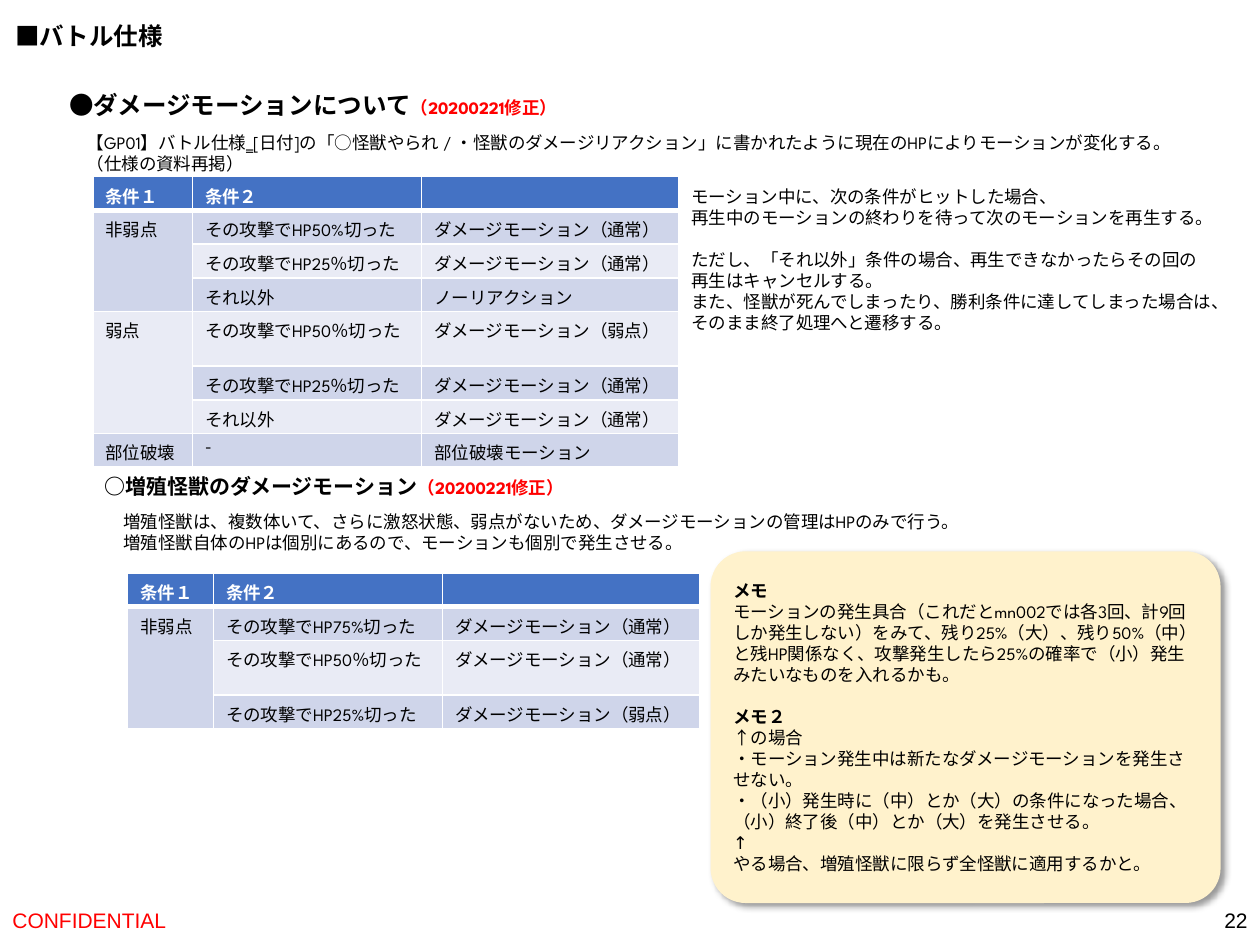
from dataclasses import dataclass

from lxml import etree
from pptx import Presentation
from pptx.dml.color import RGBColor
from pptx.enum.shapes import MSO_SHAPE
from pptx.enum.text import MSO_ANCHOR, MSO_AUTO_SIZE, PP_ALIGN
from pptx.oxml.ns import qn
from pptx.util import Pt

ROUNDED = MSO_SHAPE.ROUNDED_RECTANGLE
MIDDLE = MSO_ANCHOR.MIDDLE
FIT_SHAPE = MSO_AUTO_SIZE.SHAPE_TO_FIT_TEXT
LEFT, RIGHT = PP_ALIGN.LEFT, PP_ALIGN.RIGHT


@dataclass(frozen=True)
class Theme:
    body_font: str = "League Spartan"
    plain_font: str = "Arial"
    black: str = "000000"
    white: str = "FFFFFF"
    red: str = "FF0000"
    header: str = "4472C4"
    bands: tuple = ("CFD5EA", "E9EBF5")
    memo: str = "FFF2CC"
    heading: int = 14
    subheading: int = 12
    body: int = 10
    line_gap: int = 12
    row_height: int = 19


THEME = Theme()
REVISED = "（20200221修正）"
NORMAL, WEAK = "ダメージモーション（通常）", "ダメージモーション（弱点）"
HEADER = ("条件１", "条件２", "")

MONSTER_ROWS = [
    HEADER,
    ("非弱点", "その攻撃でHP50%切った", NORMAL),
    ("", "その攻撃でHP25％切った", NORMAL),
    ("", "それ以外", "ノーリアクション"),
    ("弱点", "その攻撃でHP50％切った", WEAK),
    ("", "その攻撃でHP25％切った", NORMAL),
    ("", "それ以外", NORMAL),
    ("部位破壊", "-", "部位破壊モーション"),
]
SWARM_ROWS = [
    HEADER,
    ("非弱点", "その攻撃でHP75%切った", NORMAL),
    ("", "その攻撃でHP50％切った", NORMAL),
    ("", "その攻撃でHP25%切った", WEAK),
]
INTRO = [
    "【GP01】バトル仕様‗[日付]の「○怪獣やられ / ・怪獣のダメージリアクション」に"
    "書かれたように現在のHPによりモーションが変化する。",
    "（仕様の資料再掲）",
]
PLAYBACK_RULES = [
    "モーション中に、次の条件がヒットした場合、",
    "再生中のモーションの終わりを待って次のモーションを再生する。",
    "ただし、「それ以外」条件の場合、再生できなかったらその回の",
    "再生はキャンセルする。",
    "また、怪獣が死んでしまったり、勝利条件に達してしまった場合は、",
    "そのまま終了処理へと遷移する。",
]
SWARM_INTRO = [
    "増殖怪獣は、複数体いて、さらに激怒状態、弱点がないため、"
    "ダメージモーションの管理はHPのみで行う。",
    "増殖怪獣自体のHPは個別にあるので、モーションも個別で発生させる。",
]
MEMO_TITLES = ("メモ", "メモ２")
MEMO = [
    "メモ",
    "モーションの発生具合（これだとmn002では各3回、計9回しか発生しない）をみて、"
    "残り25%（大）、残り50%（中）と残HP関係なく、攻撃発生したら25%の確率で"
    "（小）発生みたいなものを入れるかも。",
    "メモ２",
    "↑の場合",
    "・モーション発生中は新たなダメージモーションを発生させない。",
    "・（小）発生時に（中）とか（大）の条件になった場合、"
    "（小）終了後（中）とか（大）を発生させる。",
    "↑",
    "やる場合、増殖怪獣に限らず全怪獣に適用するかと。",
]


def style(run, size=THEME.body, color=THEME.black, bold=False, face=THEME.body_font):
    run.font.size = Pt(size)
    run.font.name = face
    run.font.bold = bold
    run.font.color.rgb = RGBColor.from_string(color)


def write_lines(frame, lines, gap_before=None, bold_lines=(), **look):
    """Put one paragraph per line, with a gap above the line gap_before."""
    frame.text = "\n".join(lines)
    for paragraph in frame.paragraphs:
        paragraph.alignment = LEFT
        for run in paragraph.runs:
            style(run, bold=run.text in bold_lines, **look)
    if gap_before:
        frame.paragraphs[gap_before].space_before = Pt(THEME.line_gap)


def add_text(slide, box, lines, **look):
    frame = slide.shapes.add_textbox(*map(Pt, box)).text_frame
    frame.word_wrap = False
    frame.auto_size = FIT_SHAPE
    write_lines(frame, lines, **look)
    return frame


def add_heading(slide, box, heading, size, revision=None, face=THEME.body_font):
    frame = add_text(slide, box, [heading], bold_lines=[heading], size=size, face=face)
    if revision:
        note = frame.paragraphs[0].add_run()
        note.text = revision
        style(note, color=THEME.red, bold=True)


def add_footer(slide, left, width, label, color, align):
    frame = slide.shapes.add_textbox(Pt(left), Pt(511), Pt(width), Pt(29)).text_frame
    frame.word_wrap = True
    frame.vertical_anchor = MIDDLE
    write_lines(frame, [label], size=THEME.subheading, color=color, face=THEME.plain_font)
    frame.paragraphs[0].alignment = align


def set_borders(cell, bottom):
    properties = cell._tc.get_or_add_tcPr()
    for side, width in (("lnL", 1), ("lnR", 1), ("lnT", 1), ("lnB", bottom)):
        line = etree.SubElement(properties, qn(f"a:{side}"), w=str(Pt(width)))
        fill = etree.SubElement(line, qn("a:solidFill"))
        etree.SubElement(fill, qn("a:srgbClr"), val=THEME.white)


def fill_cell(cell, label, color, is_header):
    set_borders(cell, 3 if is_header else 1)
    cell.fill.solid()
    cell.fill.fore_color.rgb = RGBColor.from_string(color)
    paragraph = cell.text_frame.paragraphs[0]
    if label:
        paragraph.text = label
        style(paragraph.runs[0], color=THEME.white if is_header else THEME.black,
              bold=is_header)
    else:
        etree.SubElement(paragraph._p, qn("a:endParaRPr"), sz=str(THEME.body * 100))


def add_condition_table(slide, left, top, widths, rows, merged):
    """Draw a banded table; merged lists first and last rows joined in column one."""
    height = THEME.row_height * len(rows)
    table = slide.shapes.add_table(len(rows), len(widths), Pt(left), Pt(top),
                                   Pt(sum(widths)), Pt(height)).table
    for column, width in zip(table.columns, widths):
        column.width = Pt(width)
    for r, labels in enumerate(rows):
        table.rows[r].height = Pt(THEME.row_height)
        color = THEME.bands[(r - 1) % 2] if r else THEME.header
        for c, label in enumerate(labels):
            fill_cell(table.cell(r, c), label, color, is_header=r == 0)
    for first, last in merged:
        table.cell(first, 0).merge(table.cell(last, 0))


def add_memo(slide, box):
    memo = slide.shapes.add_shape(ROUNDED, *map(Pt, box))
    memo.adjustments[0] = 0.1
    memo.fill.solid()
    memo.fill.fore_color.rgb = RGBColor.from_string(THEME.memo)
    memo.line.fill.background()
    memo.shadow.inherit = False
    effects = memo._element.spPr.find(qn("a:effectLst"))
    shadow = etree.SubElement(effects, qn("a:outerShdw"), blurRad=str(Pt(4)),
                              dist=str(Pt(3)), dir=str(45 * 60000), algn="tl",
                              rotWithShape="0")
    color = etree.SubElement(shadow, qn("a:srgbClr"), val=THEME.black)
    etree.SubElement(color, qn("a:alpha"), val="40000")
    memo.text_frame.word_wrap = True
    memo.text_frame.vertical_anchor = MIDDLE
    write_lines(memo.text_frame, MEMO, gap_before=2, bold_lines=MEMO_TITLES)


def main():
    deck = Presentation()
    deck.slide_width, deck.slide_height = Pt(720), Pt(540)
    slide = deck.slides.add_slide(deck.slide_layouts[6])

    add_footer(slide, 0, 243, "CONFIDENTIAL", THEME.red, LEFT)
    add_footer(slide, 558, 162, "22", THEME.black, RIGHT)
    add_heading(slide, (1.5, 8.5, 101, 24.5), "■バトル仕様", THEME.heading,
                face=THEME.plain_font)
    add_heading(slide, (32.5, 48, 298, 24.5), "●ダメージモーションについて",
                THEME.heading, REVISED)
    add_text(slide, (42.5, 72, 651, 31.5), INTRO)
    add_condition_table(slide, 53, 101, (57, 131, 147), MONSTER_ROWS, [(1, 3), (4, 6)])
    add_text(slide, (388, 102.5, 327.5, 92), PLAYBACK_RULES, gap_before=2)

    add_heading(slide, (52.5, 267, 282, 21.5), "○増殖怪獣のダメージモーション",
                THEME.subheading, REVISED)
    add_text(slide, (63.5, 288.5, 502, 31.5), SWARM_INTRO)
    add_condition_table(slide, 73, 327.5, (49, 131, 147), SWARM_ROWS, [(1, 3)])
    add_memo(slide, (406, 315, 291.5, 201))

    deck.save("out.pptx")


if __name__ == "__main__":
    main()
